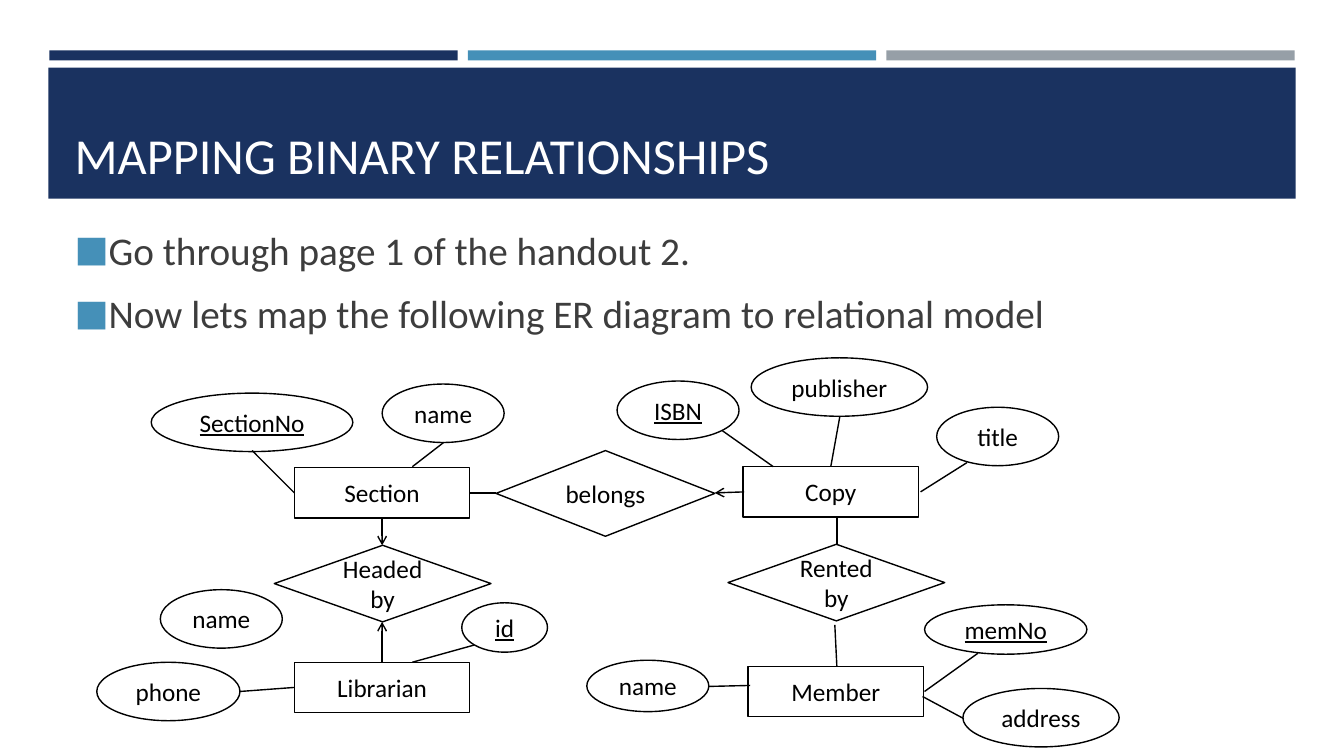
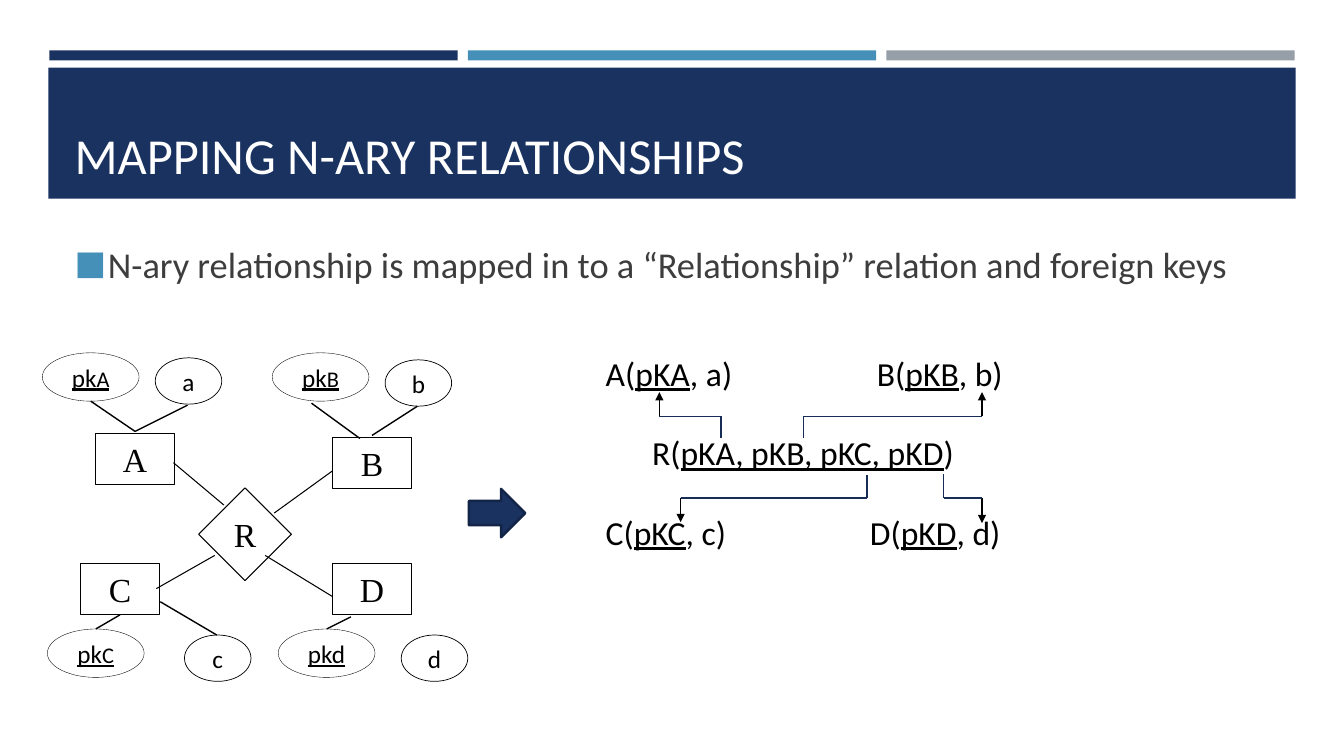
from dataclasses import dataclass

from lxml import etree
from pptx import Presentation
from pptx.dml.color import RGBColor
from pptx.enum.shapes import MSO_CONNECTOR, MSO_SHAPE
from pptx.enum.text import MSO_ANCHOR, MSO_AUTO_SIZE, PP_ALIGN
from pptx.oxml.ns import qn
from pptx.util import Pt

PX = 9144
NAVY = RGBColor(0x1A, 0x32, 0x60)
BLUE = RGBColor(0x45, 0x90, 0xB8)
GREY = RGBColor(0x96, 0x9F, 0xA7)
EDGE = RGBColor(0x13, 0x25, 0x47)
ELBOW = RGBColor(0x17, 0x2D, 0x56)
INK = RGBColor(0x3D, 0x3D, 0x3D)
BLACK = RGBColor(0, 0, 0)
WHITE = RGBColor(0xFF, 0xFF, 0xFF)
SANS, SERIF = "Calibri", "Times New Roman"

RECT, OVAL = MSO_SHAPE.RECTANGLE, MSO_SHAPE.OVAL
DIAMOND, ARROW = MSO_SHAPE.DIAMOND, MSO_SHAPE.RIGHT_ARROW
STRAIGHT = MSO_CONNECTOR.STRAIGHT
LEFT, CENTER = PP_ALIGN.LEFT, PP_ALIGN.CENTER
TOP, MIDDLE, BOTTOM = MSO_ANCHOR.TOP, MSO_ANCHOR.MIDDLE, MSO_ANCHOR.BOTTOM
NO_FIT = MSO_AUTO_SIZE.NONE


@dataclass(frozen=True)
class Node:
    kind: int
    text: str
    x: int
    y: int
    w: int
    h: int
    key: bool = False
    suffix: str = ""
    size: int = 18
    font: str = SANS
    weight: float = 1


@dataclass(frozen=True)
class Link:
    x1: int
    y1: int
    x2: int
    y2: int
    head: str = ""
    color: RGBColor = BLACK
    weight: float = 1


@dataclass(frozen=True)
class ForeignKey:
    tip_x: int
    tip_y: int
    bend_y: int
    root_x: int
    root_y: int


@dataclass(frozen=True)
class Relations:
    runs: tuple
    indent: int = 0
    tab: int = 0


def entity(text: str, x: int, y: int) -> Node:
    return Node(RECT, text, x, y, 174, 50)


def attribute(text: str, x: int, y: int, w: int = 121, h: int = 58, key: bool = False) -> Node:
    return Node(OVAL, text, x, y, w, h, key)


def letter_entity(text: str, x: int, y: int) -> Node:
    return Node(RECT, text, x, y, 78, 51, size=24, font=SERIF, weight=0.75)


def letter_key(text: str, suffix: str, x: int, y: int) -> Node:
    return Node(OVAL, text, x, y, 96, 48, True, suffix, weight=0.25)


def letter_attribute(text: str, x: int, y: int) -> Node:
    return Node(OVAL, text, x, y, 66, 46, weight=0.5)


ER_NODES = [
    entity("Section", 292, 464),
    entity("Copy", 737, 463),
    entity("Librarian", 292, 657),
    entity("Member", 742, 661),
    Node(DIAMOND, "belongs", 492, 447, 217, 85),
    Node(DIAMOND, "Headed by", 272, 541, 215, 76),
    Node(DIAMOND, "Rented by", 722, 540, 215, 76),
    attribute("SectionNo", 150, 390, 200, key=True),
    attribute("name", 379, 381),
    attribute("ISBN", 612, 378, key=True),
    attribute("publisher", 745, 355, 175),
    attribute("title", 929, 404),
    attribute("name", 159, 585),
    attribute("id", 458, 598, 85, 49, True),
    attribute("phone", 96, 657, 142),
    attribute("name", 582, 655, h=51),
    attribute("memNo", 917, 600, 161, 49, True),
    attribute("address", 955, 683, 155),
]
ER_LINKS = [
    Link(466, 489, 492, 489),
    Link(738, 488, 709, 489, "arrow"),
    Link(379, 514, 379, 541, "arrow"),
    Link(379, 657, 379, 617, "arrow"),
    Link(830, 513, 830, 540),
    Link(828, 620, 830, 661),
    Link(470, 640, 409, 657),
    Link(238, 686, 292, 682),
    Link(440, 439, 409, 463),
    Link(250, 447, 292, 489),
    Link(716, 427, 767, 463),
    Link(833, 413, 824, 463),
    Link(959, 459, 913, 488),
    Link(970, 648, 917, 686),
    Link(915, 691, 956, 713),
    Link(703, 681, 744, 680),
]
NARY_NODES = [
    letter_entity("A", 95, 430),
    letter_entity("B", 330, 434),
    letter_entity("C", 80, 559),
    letter_entity("D", 330, 559),
    Node(DIAMOND, "R", 197, 484, 92, 92, size=24, font=SERIF, weight=0.75),
    letter_key("pk", "A", 42, 350),
    letter_key("pk", "B", 270, 350),
    letter_key("pk", "C", 47, 624),
    letter_key("pkd", "", 276, 624),
    letter_attribute("a", 154, 355),
    letter_attribute("b", 382, 357),
    letter_attribute("c", 183, 630),
    letter_attribute("d", 398, 630),
]
NARY_LINKS = [
    Link(172, 459, 222, 501, weight=0.75),
    Link(155, 584, 213, 551, weight=0.75),
    Link(272, 509, 330, 467, weight=0.75),
    Link(263, 551, 330, 592, weight=0.75),
    Link(90, 398, 134, 428),
    Link(186, 402, 134, 428),
    Link(309, 400, 357, 435),
    Link(414, 403, 369, 432),
    Link(119, 610, 95, 624),
    Link(215, 630, 159, 597),
    Link(348, 612, 324, 624),
]
FOREIGN_KEYS = [
    ForeignKey(654, 389, 413, 715, 435),
    ForeignKey(974, 389, 413, 797, 435),
    ForeignKey(675, 518, 494, 860, 471),
    ForeignKey(974, 519, 494, 936, 470),
]
SCHEMA = [
    Relations(("A(", "pKA", ", a)\tB(", "pKB", ", b)"), tab=269),
    Relations(("R(", "pKA, pKB, pKC, pKD", ")"), indent=46),
    Relations(("C(", "pKC", ", c)\tD(", "pKD", ", d)"), tab=262),
]


def box(x: int, y: int, w: int, h: int) -> list[int]:
    return [v * PX for v in (x, y, w, h)]


def apply(target, **values) -> None:
    for name, value in values.items():
        setattr(target, name, value)


def place(sp, x: int, y: int, w: int, h: int) -> None:
    apply(sp, **dict(zip(("left", "top", "width", "height"), box(x, y, w, h))))


def add_run(p, text: str, size: int, color: RGBColor, font: str = SANS, underline: bool = False) -> None:
    r = p.add_run()
    r.text = text
    apply(r.font, name=font, size=Pt(size), underline=underline)
    r.font.color.rgb = color


def add_child(parent, tag: str, **attrs: str):
    return etree.SubElement(parent, qn(tag), attrs)


def add_block(s, kind: int, x: int, y: int, w: int, h: int, fill: RGBColor):
    sp = s.shapes.add_shape(kind, *box(x, y, w, h))
    sp.shadow.inherit = False
    sp.fill.solid()
    sp.fill.fore_color.rgb = fill
    sp.line.fill.background()
    return sp


def outline(sp, color: RGBColor, weight: float) -> None:
    sp.line.color.rgb = color
    sp.line.width = Pt(weight)


def add_node(s, node: Node) -> None:
    sp = add_block(s, node.kind, node.x, node.y, node.w, node.h, WHITE)
    outline(sp, BLACK, node.weight)
    tf = sp.text_frame
    apply(tf, word_wrap=" " in node.text, vertical_anchor=MIDDLE)
    p = tf.paragraphs[0]
    p.alignment = CENTER
    add_run(p, node.text, node.size, BLACK, node.font, node.key)
    if node.suffix:
        add_run(p, node.suffix, 16, BLACK, node.font, node.key)


def add_link(s, link: Link) -> None:
    ends = [v * PX for v in (link.x1, link.y1, link.x2, link.y2)]
    line = s.shapes.add_connector(STRAIGHT, *ends)
    outline(line, link.color, link.weight)
    if link.head:
        add_child(line.line._get_or_add_ln(), "a:tailEnd", type=link.head)
    add_child(line.element.spPr, "a:effectLst")


def add_foreign_key(s, key: ForeignKey) -> None:
    add_link(s, Link(key.tip_x, key.bend_y, key.tip_x, key.tip_y, "triangle"))
    add_link(s, Link(key.tip_x, key.bend_y, key.root_x, key.bend_y, color=ELBOW))
    add_link(s, Link(key.root_x, key.bend_y, key.root_x, key.root_y, color=ELBOW))


def add_schema(s) -> None:
    tf = s.shapes.add_textbox(*box(591, 345, 527, 252)).text_frame
    tf.word_wrap = True
    for row, relations in enumerate(SCHEMA):
        p = tf.add_paragraph() if row else tf.paragraphs[0]
        p.space_before = Pt(28 if row else 0)
        pPr = p._p.get_or_add_pPr()
        pPr.set("marL", str(relations.indent * PX))
        if relations.tab:
            tabs = add_child(pPr, "a:tabLst")
            add_child(tabs, "a:tab", pos=str(relations.tab * PX), algn="l")
        for i, text in enumerate(relations.runs):
            add_run(p, text, 24, BLACK, underline=i % 2 == 1)


def add_bands(s, layout) -> None:
    bands = [(49 + 415 * i, 50, 405, 10, color) for i, color in enumerate((NAVY, BLUE, GREY))]
    bands.append((48, 67, 1237, 130, NAVY))
    for i, band in enumerate(bands):
        layout.shapes.element.insert(2 + i, add_block(s, RECT, *band).element)


def fill_title(s, text: str) -> None:
    place(s.shapes.title, 64, 77, 1206, 111)
    tf = s.shapes.title.text_frame
    apply(tf, vertical_anchor=BOTTOM, auto_size=NO_FIT, word_wrap=True)
    p = tf.paragraphs[0]
    p.alignment = LEFT
    add_run(p, text, 36, WHITE)


def fill_body(s, items: list[str], size: int, y: int, h: int) -> None:
    body = s.placeholders[1]
    place(body, 64, y, 1206, h)
    tf = body.text_frame
    apply(tf, vertical_anchor=MIDDLE, auto_size=NO_FIT, word_wrap=True)
    for i, text in enumerate(items):
        p = tf.add_paragraph() if i else tf.paragraphs[0]
        apply(p, alignment=LEFT, space_before=Pt(size * 0.2), space_after=Pt(6))
        pPr = p._p.get_or_add_pPr()
        pPr.set("marL", str(33 * PX))
        pPr.set("indent", str(-33 * PX))
        add_child(add_child(pPr, "a:buClr"), "a:srgbClr", val=str(BLUE))
        add_child(pPr, "a:buSzPct", val="92000")
        add_child(pPr, "a:buFont", typeface=SANS)
        add_child(pPr, "a:buChar", char="■")
        add_run(p, text, size, INK)


def main() -> None:
    prs = Presentation()
    prs.slide_width, prs.slide_height = 1333 * PX, 750 * PX
    layout = prs.slide_layouts[1]

    s = prs.slides.add_slide(layout)
    add_bands(s, layout)
    fill_title(s, "MAPPING BINARY RELATIONSHIPS")
    fill_body(s, ["Go through page 1 of the handout 2.",
                  "Now lets map the following ER diagram to relational model"], 28, 210, 138)
    for node in ER_NODES:
        add_node(s, node)
    for link in ER_LINKS:
        add_link(s, link)

    s = prs.slides.add_slide(layout)
    fill_title(s, "MAPPING N-ARY RELATIONSHIPS")
    fill_body(s, ["N-ary relationship is mapped in to a “Relationship” relation and foreign keys"], 26, 213, 97)
    for node in NARY_NODES:
        add_node(s, node)
    for link in NARY_LINKS:
        add_link(s, link)
    outline(add_block(s, ARROW, 465, 485, 56, 48, NAVY), EDGE, 1.75)
    add_schema(s)
    for key in FOREIGN_KEYS:
        add_foreign_key(s, key)

    prs.save("out.pptx")


if __name__ == "__main__":
    main()
